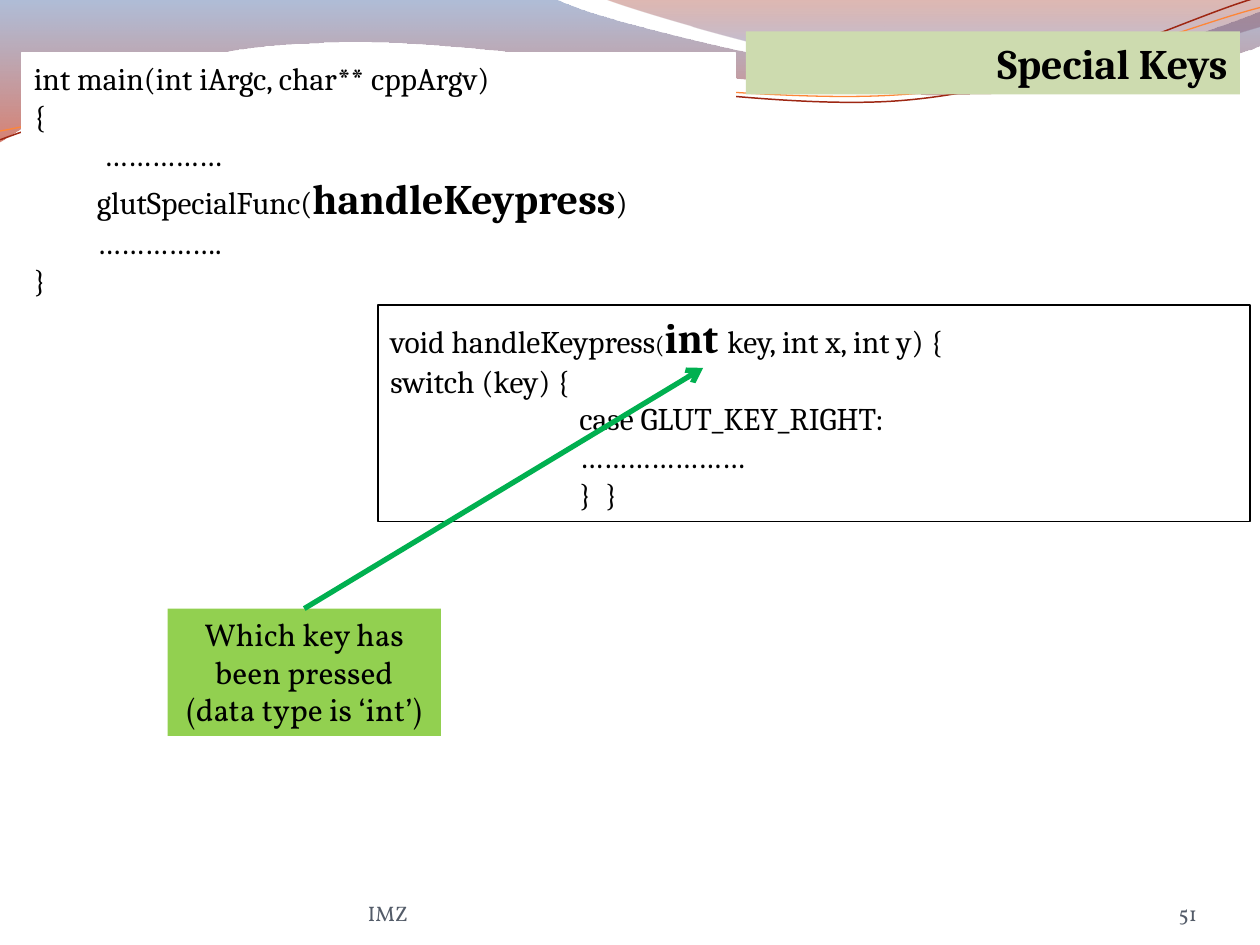
from dataclasses import dataclass
from math import cos, radians, sin
from pptx import Presentation
from pptx.dml.color import RGBColor as RGB
from pptx.enum.shapes import MSO_CONNECTOR as LINK, MSO_SHAPE as KIND
from pptx.enum.text import MSO_ANCHOR as ANCHOR, MSO_AUTO_SIZE as AUTO, PP_ALIGN as ALIGN
from pptx.oxml.ns import qn
from pptx.oxml.xmlchemy import OxmlElement as Element
from pptx.util import Inches, Pt


@dataclass(frozen=True)
class Theme:
    serif: str = "Cambria"
    body: str = "Vollkorn"
    black: str = "000000"
    white: str = "FFFFFF"
    gray: str = "535B68"
    sage: str = "CDDBAF"
    lime: str = "92D050"
    green: str = "00B050"
    red: str = "9E2713"
    orange: str = "FE8637"
    big: int = 24
    text: int = 18
    mid: int = 14
    small: int = 12


theme = Theme()
deck = Presentation()
deck.slide_width, deck.slide_height = Inches(10), Inches(7.5)
slide = deck.slides.add_slide(deck.slide_layouts[6])
shapes = slide.shapes


def trace(home, start, parts, close, turn=0):
    mid, wide, high = (4.99, 0.58), cos(radians(turn)), sin(radians(turn))
    spots = []
    for part in [start, *parts]:
        pairs = [(x - mid[0], y - mid[1]) for x, y in zip(part[::2], part[1::2])]
        spots.append([(Inches(mid[0] + x * wide - y * high), Inches(mid[1] + x * high + y * wide))
                      for x, y in pairs])
    pen = home.build_freeform(*spots[0][0])
    pen.add_line_segments([spot[-1] for spot in spots[1:]], close=close)
    shape = pen.convert_to_shape()
    shape.shadow.inherit = False
    for node, spot in zip(list(shape._element.iter(qn("a:lnTo"))), spots[1:]):
        if len(spot) == 3:
            curve = Element("a:cubicBezTo")
            for x, y in spot:
                point = Element("a:pt")
                point.set("x", str(x - shape.left))
                point.set("y", str(y - shape.top))
                curve.append(point)
            node.getparent().replace(node, curve)
    shape.rotation = -turn
    return shape


def write(shape, lines, font, color, align=ALIGN.LEFT, **form):
    frame = shape.text_frame
    form = {"word_wrap": True, "vertical_anchor": ANCHOR.TOP, **form}
    for name, value in form.items():
        setattr(frame, name, value)
    for i, (level, runs) in enumerate(lines):
        para = frame.paragraphs[0] if i == 0 else frame.add_paragraph()
        para.alignment, para.level = align, level
        props = para._p.get_or_add_pPr()
        props.set("marL", str(Inches(level / 2)))
        props.set("indent", "0")
        for text, size, bold in runs:
            run = para.add_run()
            run.text = text
            for name, value in {"name": font, "size": Pt(size), "bold": bold}.items():
                setattr(run.font, name, value)
            run.font.color.rgb = RGB.from_string(color)


waves = [
    ((0, 0), [(4.4, -0.01), (4.76, 0.17, 6.64, 0.63, 7.58, 0.63), (8.53, 0.63, 9.58, 0.26, 10, 0.09),
              (10.01, 0.36), (9.83, 0.44, 8.7, 0.76, 7.46, 0.75), (6.22, 0.75, 3.82, 0.28, 2.57, 0.34),
              (1.29, 0.36, 0.46, 0.83, -0.01, 1.13), (0, 0)],
     [(0, "4F6EA8", 45), (1, "B61A00", 55)]),
    ((4.79, -0.01), [(5.09, 0.11, 6.82, 0.62, 7.69, 0.65), (8.56, 0.69, 9.61, 0.32, 10, 0.21),
                     (10, 0), (4.79, -0.01)],
     [(0, "951500", 30), (0.8, "5681D1", 45)]),
]
for start, parts, stops in waves:
    wave = trace(shapes, start, parts, True)
    wave.line.fill.background()
    wave.fill.gradient()
    wave.fill.gradient_angle = 270
    for stop, (place, color, alpha) in zip(wave.fill.gradient_stops, stops):
        stop.position = place
        stop.color.rgb = RGB.from_string(color)
    for node, (place, color, alpha) in zip(wave._element.spPr.iter(qn("a:srgbClr")), stops):
        tone = Element("a:alpha")
        tone.set("val", str(alpha * 1000))
        node.append(tone)

threads = [
    ((0, 1.11), [(0.48, 0.93, 1.58, 0.57, 2.77, 0.52), (3.95, 0.47, 5.93, 0.89, 7.13, 0.8),
                 (8.33, 0.71, 9.38, 0.15, 9.98, -0.02)], theme.red, 0.85),
    ((0, 1.04), [(0.47, 0.96, 1.64, 0.61, 2.83, 0.56), (4.03, 0.51, 5.97, 0.84, 7.17, 0.75),
                 (8.36, 0.67, 9.41, 0.21, 10, 0.06)], theme.orange, 0.75),
]
group = shapes.add_group_shape()
for start, parts, color, width in threads:
    thread = trace(group.shapes, start, parts, False, 2.7)
    thread.fill.background()
    thread.line.color.rgb = RGB.from_string(color)
    thread.line.width = Pt(width)

text, big = theme.text, theme.big
main = [
    (0, [("int main(int iArgc, char** cppArgv)", text, False)]),
    (0, [("{", text, False)]),
    (1, [(" ……………", text, False)]),
    (1, [("glutSpecialFunc(", text, False), ("handleKeypress", big, True), (")", text, False)]),
    (1, [("…………….", text, False)]),
    (0, [("}", text, False)]),
]
handler = [
    (0, [("void handleKeypress", text, False), ("(", theme.mid, False), ("int ", big, True),
         ("key, int x, int y) {", text, False)]),
    (0, [("switch (key) {", text, False)]),
    (3, [("case GLUT_KEY_RIGHT:", text, False)]),
    (3, [("…………………", text, False)]),
    (3, [("}  }", text, False)]),
]
title = [(0, [("Special Keys", big, True)])]
note = [(0, [("Which key has been pressed (data type is ‘int’)", text, False)])]
boxes = [
    ((0.17, 0.42, 5.67, 2.02), theme.white, theme.white, main, theme.serif, ALIGN.LEFT),
    ((3, 2.42, 6.92, 1.72), None, theme.black, handler, theme.serif, ALIGN.LEFT),
    ((5.92, 0.25, 3.92, 0.5), theme.sage, None, title, theme.serif, ALIGN.RIGHT),
    ((1.33, 4.83, 2.17, 1.01), theme.lime, None, note, theme.body, ALIGN.CENTER),
]
for place, fill, edge, lines, font, align in boxes:
    box = shapes.add_shape(KIND.RECTANGLE, *map(Inches, place))
    box.shadow.inherit = False
    for paint, color in ((box.fill, fill), (box.line.fill, edge)):
        if color:
            paint.solid()
            paint.fore_color.rgb = RGB.from_string(color)
        else:
            paint.background()
    if edge:
        box.line.width = Pt(0.75)
    write(box, lines, font, theme.black, align, auto_size=AUTO.SHAPE_TO_FIT_TEXT)

arrow = shapes.add_connector(LINK.STRAIGHT, Inches(2.42), Inches(4.83), Inches(5.58), Inches(2.92))
arrow.begin_connect(box, 0)
arrow.line.color.rgb = RGB.from_string(theme.green)
arrow.line.width = Pt(3)
tip = Element("a:tailEnd")
tip.set("type", "arrow")
arrow.line._get_or_add_ln().append(tip)
arrow._element.spPr.append(Element("a:effectLst"))

feet = [(8.67, 0.83, "51", ALIGN.RIGHT), (2.92, 3.67, "IMZ", ALIGN.LEFT)]
for left, width, label, align in feet:
    foot = shapes.add_textbox(Inches(left), Inches(6.95), Inches(width), Inches(0.4))
    sides = {f"margin_{side}": 0 for side in ("left", "top", "right", "bottom")}
    write(foot, [(0, [(label, theme.small, False)])], theme.body, theme.gray, align,
          vertical_anchor=ANCHOR.BOTTOM, **sides)

deck.save("out.pptx")
